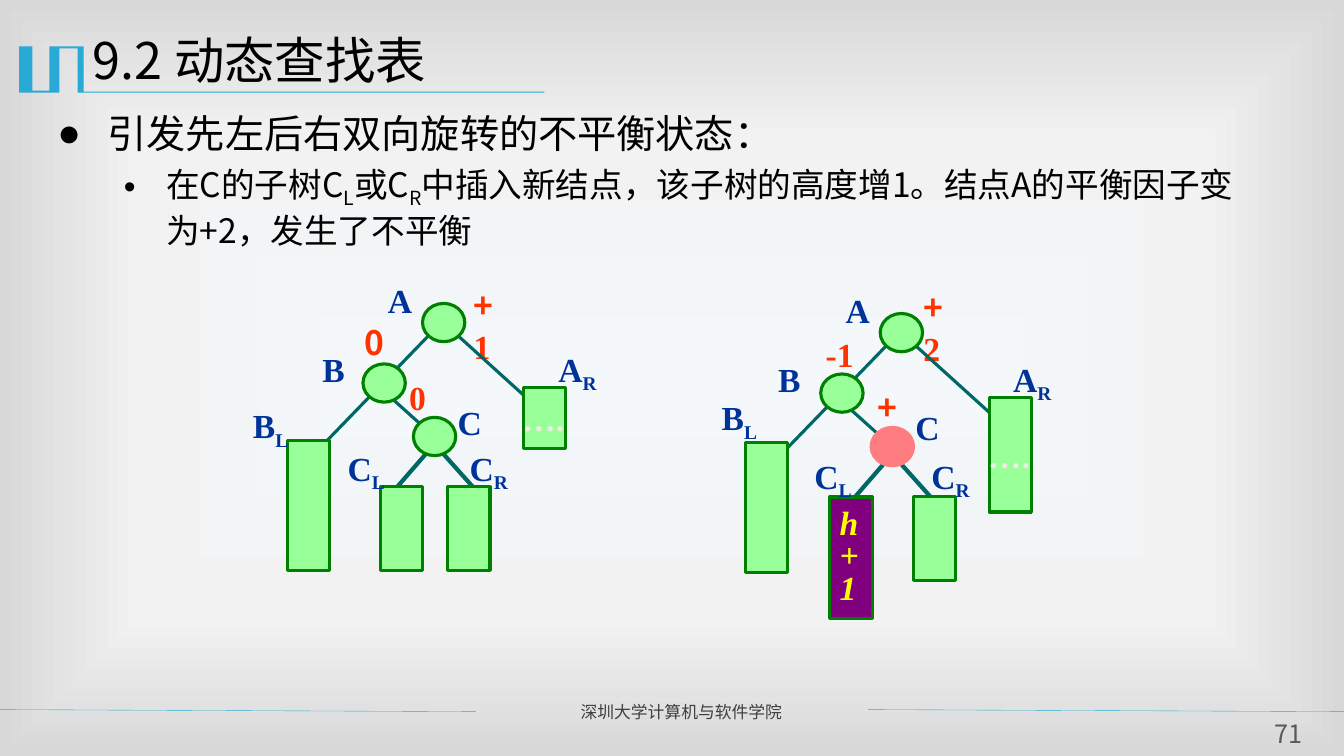
import pptx
import pptx.util
import pptx.oxml
import pptx.oxml.ns
import pptx.dml.color
import pptx.enum.text
import pptx.enum.shapes
from dataclasses import dataclass

# Content: runs are (text, style), with style "sub" for subscript
TITLE = "9.2 动态查找表"
POINTS = [
    # bullet, left margin, hang, size, space before, runs
    ("●", 0.5, 0.5, 28, 0, [("引发先左后右双向旋转的不平衡状态：", "")]),
    ("•", 1.08, 0.42, 24, 4.8, [
        ("在C的子树C", ""), ("L", "sub"), ("或C", ""), ("R", "sub"),
        ("中插入新结点，该子树的高度增1。结点A的平衡因子变为+2，发生了不平衡", "")]),
]
FOOTER, NUMBER = "深圳大学计算机与软件学院", "71"
MARK = [(0.82, 0.46), (0.83, 0.46), (0.83, 0.91), (5.4, 0.91), (5.4, 0.92),
        (0.77, 0.92), (0.77, 0.48), (0.59, 0.48), (0.59, 0.92), (0.19, 0.92),
        (0.19, 0.46), (0.32, 0.46), (0.32, 0.9), (0.49, 0.9), (0.49, 0.46)]
RULES = [(-0.01, 4.72), (8.61, 13.33)]

# Shape of both trees, relative to the tree's own shift
EDGES = [(4.35, 4.45, 4.69, 4.83, 3), (4.27, 4.45, 3.94, 4.83, 3),
         (4.52, 3.31, 5.27, 3.99, 2.25), (4.27, 3.31, 3.1, 4.52, 2.25),
         (3.85, 3.92, 4.35, 4.37, 2.25)]
NODES = {"A": (4.19, 3.01), "B": (3.6, 3.61), "C": (4.1, 4.14)}

# Per tree: balance factors, subtrees (x, y, height, text), labels
TREES = [
    dict(shift=(0, 0), hot="",
         facts=[("0", 3.96, 3.69, 0.37, "serif"), ("+1", 4.6, 2.78, 0.53, "mix"),
                ("0", 3.52, 3.14, 0.37, "sans")],
         subs=[(5.19, 3.84, 0.61, "…."), (2.85, 4.37, 1.29, ""),
               (3.77, 4.83, 0.83, ""), (4.44, 4.83, 0.83, "")],
         names=[("A", 3.75, 2.73), ("AR", 5.44, 3.41), ("C", 4.44, 3.94),
                ("BL", 2.41, 3.97), ("B", 3.1, 3.41), ("CL", 3.35, 4.39),
                ("CR", 4.56, 4.39)]),
    dict(shift=(4.54, 0.1), hot="C",
         facts=[("+2", 9.06, 2.8, 0.53, "mix"), ("-1", 8.09, 3.26, 0.48, "serif"),
                ("+1", 8.61, 3.79, 0.53, "mix")],
         subs=[(9.81, 3.94, 1.14, "…."), (7.39, 4.39, 1.29, ""),
               (8.23, 4.93, 1.21, "new"), (9.06, 4.93, 0.83, "")],
         names=[("A", 8.29, 2.83), ("AR", 9.95, 3.51), ("C", 8.98, 3.99),
                ("BL", 7.06, 3.89), ("B", 7.62, 3.51), ("CL", 7.98, 4.47),
                ("CR", 9.14, 4.47)]),
]
GROWN = "h\n+\n1"


@dataclass
class Theme:
    sans: str = "Noto Sans CJK SC"
    serif: str = "Times New Roman"
    sign: str = "Arial"
    ink: str = "000000"
    blue: str = "28A9D6"
    foot: str = "3F3F3F"
    page: str = "595959"
    edge: str = "006666"
    leaf: str = "99FF99"
    rim: str = "008000"
    hot: str = "FF7C80"
    grown: str = "800080"
    gold: str = "FFFF00"
    fact: str = "FF3300"
    name: str = "003399"
    dots: str = "EEECE1"
    head: int = 36
    tree: int = 24
    small: int = 12
    num: int = 18
    back: tuple = ((0, "F4F8FB"), (63, "F2F2F2"), (100, "D8D8D8"))


T = Theme()
Inches, Pt = pptx.util.Inches, pptx.util.Pt
PRESET = pptx.enum.shapes.MSO_SHAPE
ALIGN = pptx.enum.text.PP_ALIGN
ANCHOR = pptx.enum.text.MSO_ANCHOR
FIT = pptx.enum.text.MSO_AUTO_SIZE
qn = pptx.oxml.ns.qn


def rgb(code):
    return pptx.dml.color.RGBColor.from_string(code)


def style(run, size, color, face=T.sans, bold=False, slant=False, sub=False):
    font = run.font
    font.size, font.name, font.color.rgb = Pt(size), face, rgb(color)
    font.bold, font.italic = bold, slant
    props = font._element
    east = props.makeelement(qn("a:ea"), {"typeface": face})
    props.find(qn("a:latin")).addnext(east)
    if sub:
        props.set("baseline", "-25000")


def add_text(x, y, w, h, text="", wrap=False):
    box = slide.shapes.add_textbox(Inches(x), Inches(y), Inches(w), Inches(h))
    frame = box.text_frame
    frame.text, frame.word_wrap = text, wrap
    return frame


def add_line(x1, y1, x2, y2, color, width):
    line = slide.shapes.add_connector(
        pptx.enum.shapes.MSO_CONNECTOR.STRAIGHT,
        Inches(x1), Inches(y1), Inches(x2), Inches(y2))
    line.line.color.rgb, line.line.width = rgb(color), Pt(width)
    props = line._element.spPr
    props.append(props.makeelement(qn("a:effectLst"), {}))


def add_block(kind, x, y, w, h, fill, rim):
    block = slide.shapes.add_shape(kind, Inches(x), Inches(y), Inches(w), Inches(h))
    block.shadow.inherit = False
    block.fill.solid()
    block.fill.fore_color.rgb = rgb(fill)
    block.line.color.rgb, block.line.width = rgb(rim), Pt(2.25)
    return block


def add_tree(tree):
    dx, dy = tree["shift"]
    # Balance factors
    for text, x, y, w, face in tree["facts"]:
        para = add_text(x, y, w, 0.5, wrap=face == "mix").paragraphs[0]
        parts = [(text[0], T.sans), (text[1], T.serif)] if face == "mix" else [
            (text, getattr(T, face))]
        for part, kind in parts:
            run = para.add_run()
            run.text = part
            style(run, T.tree, T.fact, kind, bold=True)
    # Edges
    for x1, y1, x2, y2, width in EDGES:
        add_line(x1 + dx, y1 + dy, x2 + dx, y2 + dy, T.edge, width)
    # Subtrees
    for x, y, h, text in tree["subs"]:
        new = text == "new"
        block = add_block(PRESET.RECTANGLE, x, y, 0.42, h,
                          T.grown if new else T.leaf, T.rim)
        if new:
            frame = add_text(x, y + 0.08, 0.39, 1.07, GROWN)
            for para in frame.paragraphs:
                para.line_spacing = 0.8
                style(para.runs[0], T.tree, T.gold, T.serif, True, True)
        elif text:
            frame = block.text_frame
            frame.text, frame.word_wrap = text, False
            frame.vertical_anchor = ANCHOR.MIDDLE
            frame.paragraphs[0].alignment = ALIGN.CENTER
            style(frame.paragraphs[0].runs[0], T.tree, T.dots, T.serif, True, True)
    # Nodes
    for name, (x, y) in NODES.items():
        hot = name == tree["hot"]
        add_block(PRESET.OVAL, x + dx, y + dy, 0.42, 0.38,
                  T.hot if hot else T.leaf, T.hot if hot else T.rim)
    # Names
    for name, x, y in tree["names"]:
        para = add_text(x, y, 0.6 if name[1:] else 0.44, 0.5).paragraphs[0]
        for i, part in enumerate(name):
            run = para.add_run()
            run.text = part
            style(run, T.tree, T.name, T.serif, bold=True, sub=i > 0)


deck = pptx.Presentation()
deck.slide_width, deck.slide_height = Inches(13.33), Inches(7.5)
slide = deck.slides.add_slide(deck.slide_layouts[5])

# Background
slide.background.fill.solid()
solid = next(slide.element.iter(qn("p:bgPr"))).find(qn("a:solidFill"))
stops = "".join(f'<a:gs pos="{pos * 1000}"><a:srgbClr val="{color}"/></a:gs>'
                for pos, color in T.back)
solid.getparent().replace(solid, pptx.oxml.parse_xml(
    f'<a:gradFill {pptx.oxml.ns.nsdecls("a")}><a:gsLst>{stops}</a:gsLst>'
    '<a:path path="rect"><a:fillToRect l="50000" t="50000" r="50000" b="50000"/>'
    '</a:path></a:gradFill>'))

# Corner mark and footer
dots = [(Inches(x), Inches(y)) for x, y in MARK]
pen = slide.shapes.build_freeform(*dots[0])
pen.add_line_segments(dots[1:], close=True)
mark = pen.convert_to_shape()
mark.shadow.inherit = False
mark.fill.solid()
mark.fill.fore_color.rgb = rgb(T.blue)
mark.line.fill.background()
for left, right in RULES:
    add_line(left, 7.04, right, 7.06, T.blue, 0.25)
foot = add_text(5.66, 6.91, 2.85, 0.3, FOOTER, wrap=True).paragraphs[0]
foot.alignment = ALIGN.JUSTIFY
style(foot.runs[0], T.small, T.foot)
frame = add_text(12.48, 7.13, 0.59, 0.31, NUMBER, wrap=True)
frame.margin_left = frame.margin_right = frame.margin_top = frame.margin_bottom = 0
frame.paragraphs[0].alignment = ALIGN.CENTER
style(frame.paragraphs[0].runs[0], T.num, T.page)

# Title
title = slide.shapes.title
title.left, title.top, title.width, title.height = map(Inches, (0.82, 0.24, 12, 0.87))
frame = title.text_frame
frame.text, frame.vertical_anchor, frame.auto_size = TITLE, ANCHOR.TOP, FIT.NONE
frame.paragraphs[0].alignment = ALIGN.LEFT
style(frame.paragraphs[0].runs[0], T.head, T.ink)

# Bullet points
frame = add_text(0.47, 1.04, 12.13, 1.83, wrap=True)
for i, (sign, margin, hang, size, gap, runs) in enumerate(POINTS):
    para = frame.add_paragraph() if i else frame.paragraphs[0]
    props = para._p.get_or_add_pPr()
    props.set("marL", str(Inches(margin)))
    props.set("indent", str(-Inches(hang)))
    props.append(props.makeelement(qn("a:buFont"), {"typeface": T.sign}))
    props.append(props.makeelement(qn("a:buChar"), {"char": sign}))
    para.space_before = Pt(gap)
    for text, kind in runs:
        run = para.add_run()
        run.text = text
        style(run, size, T.ink, sub=kind == "sub")

for tree in TREES:
    add_tree(tree)

deck.save("out.pptx")
